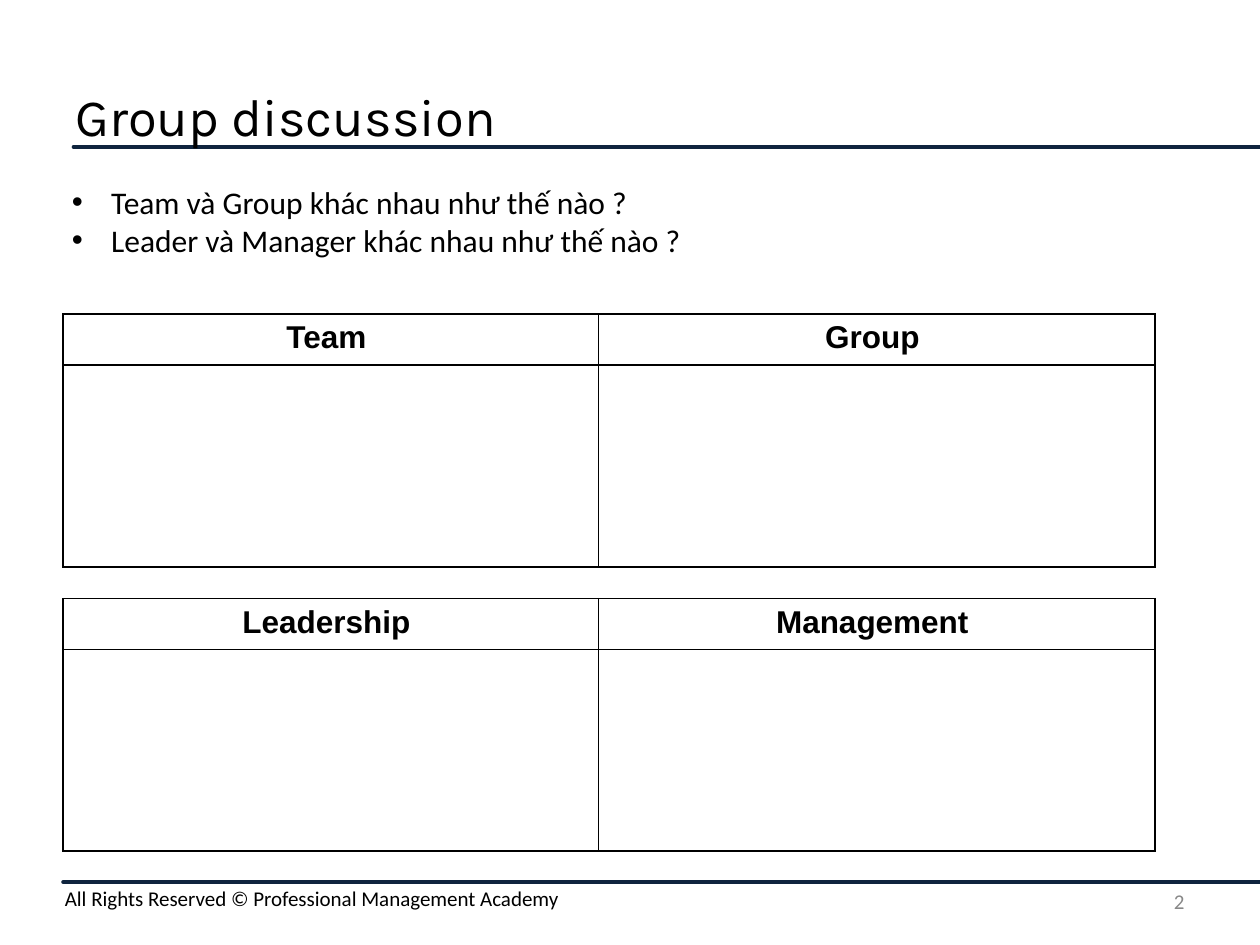
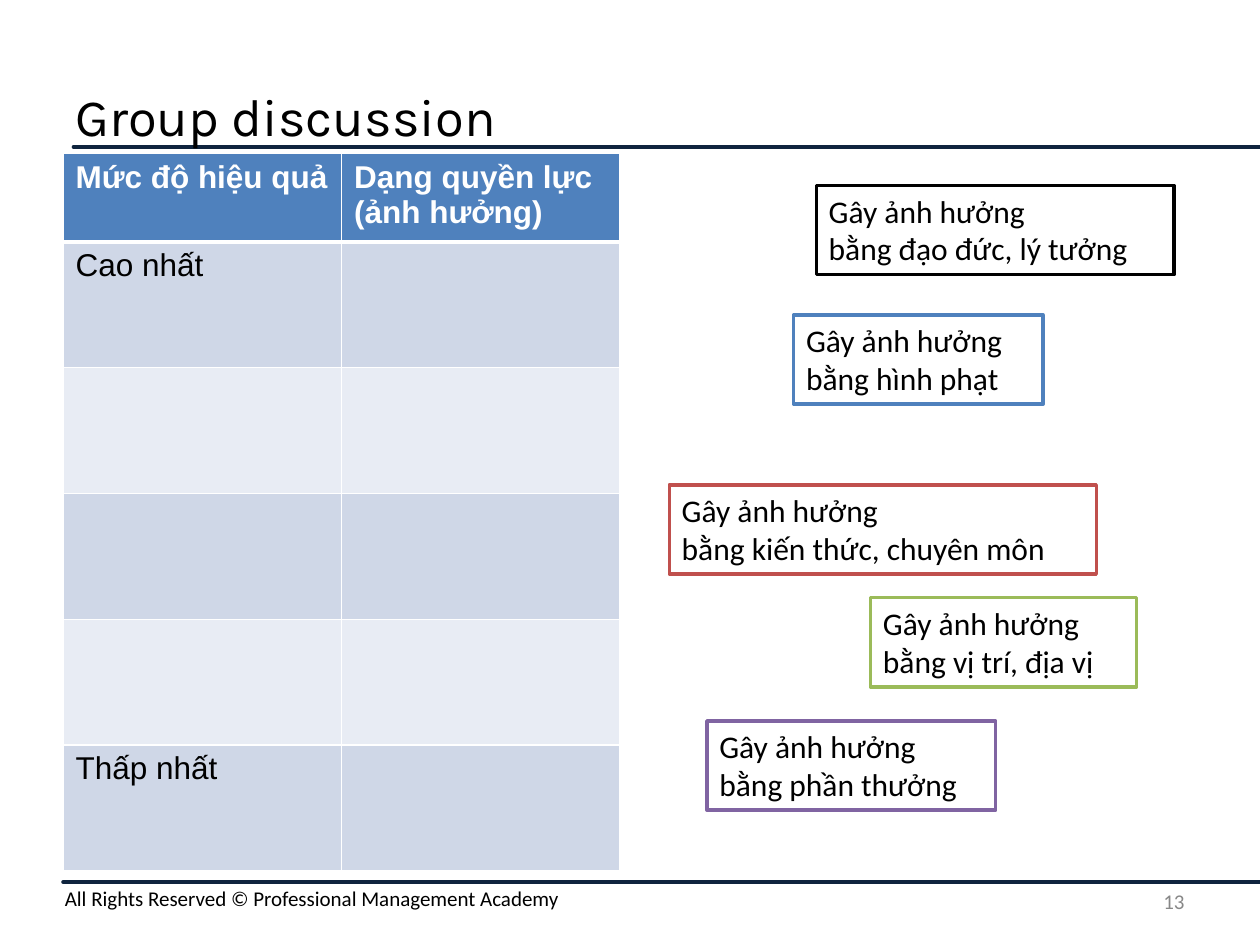
from lxml.etree import SubElement
from pptx import Presentation
from pptx.dml.color import RGBColor
from pptx.enum.shapes import MSO_CONNECTOR as Connector, MSO_SHAPE as Shape
from pptx.enum.text import MSO_ANCHOR as Anchor, PP_ALIGN as Align
from pptx.oxml import parse_xml
from pptx.oxml.ns import nsdecls, qn
from pptx.util import Pt

color = RGBColor.from_string
NAVY, BLACK, WHITE, GREY, BLUE = "0F243E", "000000", "FFFFFF", "888888", "4F81BD"
DARK_BAND, LIGHT_BAND = "CFD7E7", "E8ECF4"
LEFT = 36
BULLET_INDENT = 22.5

TITLE = dict(name="Karla", size=Pt(30))
BODY = dict(name="Calibri", size=Pt(18))
FOOTER = dict(name="Calibri", size=Pt(12))
CELL = dict(name="Arial", size=Pt(18), bold=False)
HEADER_CELL = CELL | dict(bold=True)


def write_text(frame, lines, font, ink=BLACK, align=Align.LEFT, anchor=Anchor.TOP, bullet=None):
    """Fill a text frame or cell frame with one paragraph per line."""
    frame.word_wrap = True
    frame.vertical_anchor = anchor
    for index, line in enumerate(lines):
        paragraph = frame.add_paragraph() if index else frame.paragraphs[0]
        paragraph.alignment = align
        if bullet:
            properties = paragraph._p.get_or_add_pPr()
            properties.set("marL", str(Pt(BULLET_INDENT)))
            properties.set("indent", str(-Pt(BULLET_INDENT)))
            SubElement(properties, qn("a:buFont"), typeface="Arial")
            SubElement(properties, qn("a:buChar"), char=bullet)
        run = paragraph.add_run()
        run.text = line
        for attribute, value in font.items():
            setattr(run.font, attribute, value)
        run.font.color.rgb = color(ink)


def add_grid(slide, top, widths, heights, texts, fills, border, header_ink, header_align, header_rule=1):
    """Add a table whose rows take the given fills (None leaves a row clear)."""
    table = slide.shapes.add_table(len(heights), len(widths), Pt(LEFT), Pt(top),
                                   Pt(sum(widths)), Pt(sum(heights))).table
    table.first_row = table.horz_banding = False
    for column, width in zip(table.columns, widths):
        column.width = Pt(width)
    for row_index, (row, height) in enumerate(zip(table.rows, heights)):
        row.height = Pt(height)
        is_header = row_index == 0
        for column_index, cell in enumerate(row.cells):
            text = texts.get((row_index, column_index))
            if text:
                write_text(cell.text_frame, [text], HEADER_CELL if is_header else CELL,
                           header_ink if is_header else BLACK,
                           header_align if is_header else Align.LEFT)
            if fills[row_index]:
                cell.fill.solid()
                cell.fill.fore_color.rgb = color(fills[row_index])
            else:
                cell.fill.background()
            cell_properties = cell._tc.get_or_add_tcPr()
            for position, side in enumerate("LRTB"):
                on_rule = (is_header and side == "B") or (row_index == 1 and side == "T")
                width = header_rule if on_rule else 1
                cell_properties.insert(position, parse_xml(
                    f'<a:ln{side} {nsdecls("a")} w="{Pt(width)}"><a:solidFill>'
                    f'<a:srgbClr val="{border}"/></a:solidFill></a:ln{side}>'))


presentation = Presentation()
presentation.slide_width, presentation.slide_height = Pt(720), Pt(540)
slides = []

# Title, rules and footer on every slide
for number in ("2", "13"):
    slide = presentation.slides.add_slide(presentation.slide_layouts[6])
    slides.append(slide)
    for start, height in ((42, 84), (LEFT, 504)):
        rule = slide.shapes.add_connector(Connector.STRAIGHT, Pt(start), Pt(height), Pt(720), Pt(height))
        rule.line.color.rgb = color(NAVY)
        rule.line.width = Pt(2)
        rule.get_or_add_ln().set("cap", "rnd")
        SubElement(rule._element.spPr, qn("a:effectLst"))
    for box, text, font, options in (
        ((LEFT, 36, 648, 60), "Group discussion", TITLE, dict(anchor=Anchor.MIDDLE)),
        ((30, 502.5, 690, 21.8), "All Rights Reserved © Professional Management Academy", FOOTER, {}),
        ((516, 500.5, 168, 28.8), number, FOOTER,
         dict(ink=GREY, align=Align.RIGHT, anchor=Anchor.MIDDLE)),
    ):
        write_text(slide.shapes.add_textbox(*map(Pt, box)).text_frame, [text], font, **options)

discussion, influence = slides

# Questions and two comparison tables
questions = discussion.shapes.add_textbox(Pt(34), Pt(101), Pt(626), Pt(51))
write_text(questions.text_frame,
           ["Team và Group khác nhau như thế nào ?", "Leader và Manager khác nhau như thế nào ?"],
           BODY, bullet="•")
for top, headers in ((179.5, ("Team ", "Group ")), (342, ("Leadership ", "Management "))):
    add_grid(discussion, top, (306, 318), (29.2, 115.2),
             {(0, column): header for column, header in enumerate(headers)},
             (None, None), BLACK, BLACK, Align.CENTER)

# Ranking of the kinds of power
add_grid(influence, 87.8, (159.2, 159.2), [50] + [71.9] * 5,
         {(0, 0): "Mức độ hiệu quả", (0, 1): "Dạng quyền lực (ảnh hưởng)",
          (1, 0): "Cao nhất", (5, 0): "Thấp nhất"},
         [BLUE] + [DARK_BAND, LIGHT_BAND] * 2 + [DARK_BAND],
         WHITE, WHITE, Align.LEFT, header_rule=3)

for left, top, width, outline, means in (
    (453.5, 180, 142.5, BLUE, "bằng hình phạt"),
    (466.5, 106, 204.5, BLACK, "bằng đạo đức, lý tưởng"),
    (382.5, 277, 244, "C0504D", "bằng kiến thức, chuyên môn"),
    (497.5, 341.5, 152, "9BBB59", "bằng vị trí, địa vị"),
    (404, 412, 165, "8064A2", "bằng phần thưởng"),
):
    card = influence.shapes.add_shape(Shape.RECTANGLE, Pt(left), Pt(top), Pt(width), Pt(51))
    card.shadow.inherit = False
    card.fill.solid()
    card.fill.fore_color.rgb = color(WHITE)
    card.line.color.rgb = color(outline)
    card.line.width = Pt(2)
    write_text(card.text_frame, ["Gây ảnh hưởng", means], BODY)

presentation.save("out.pptx")
